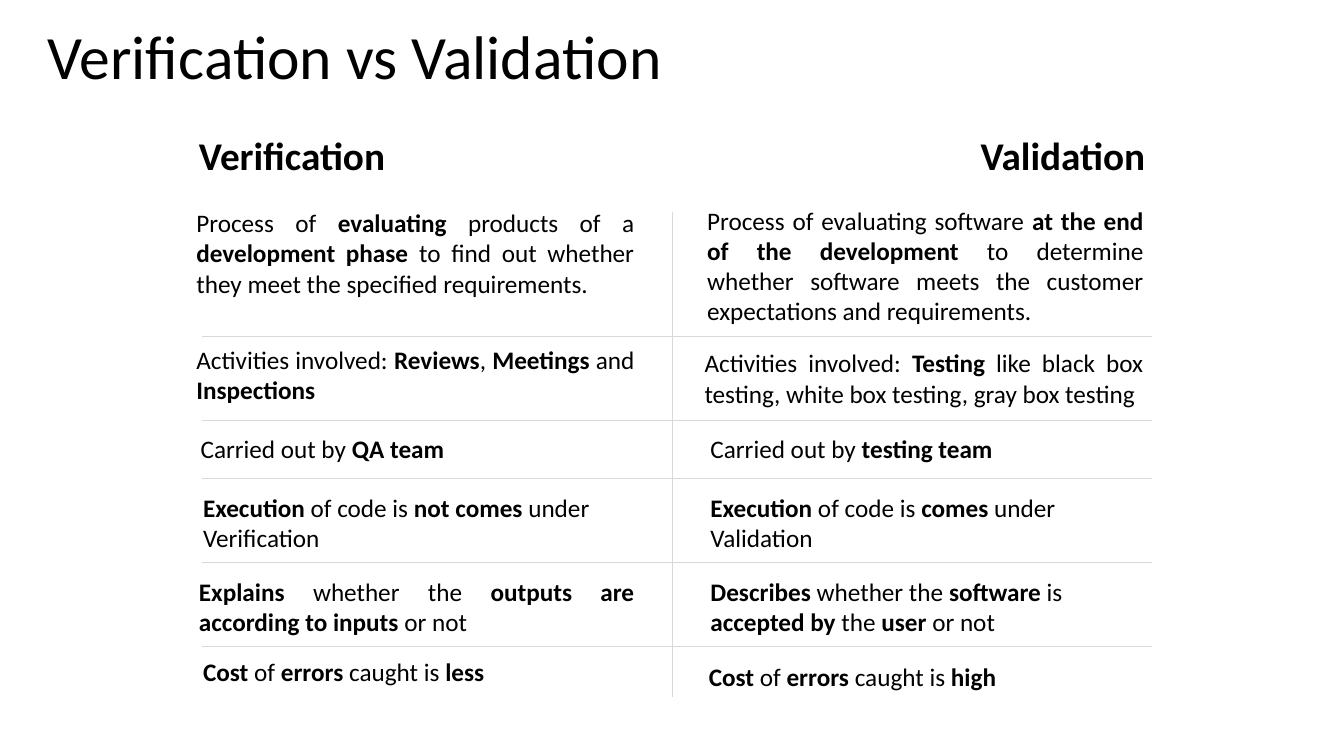
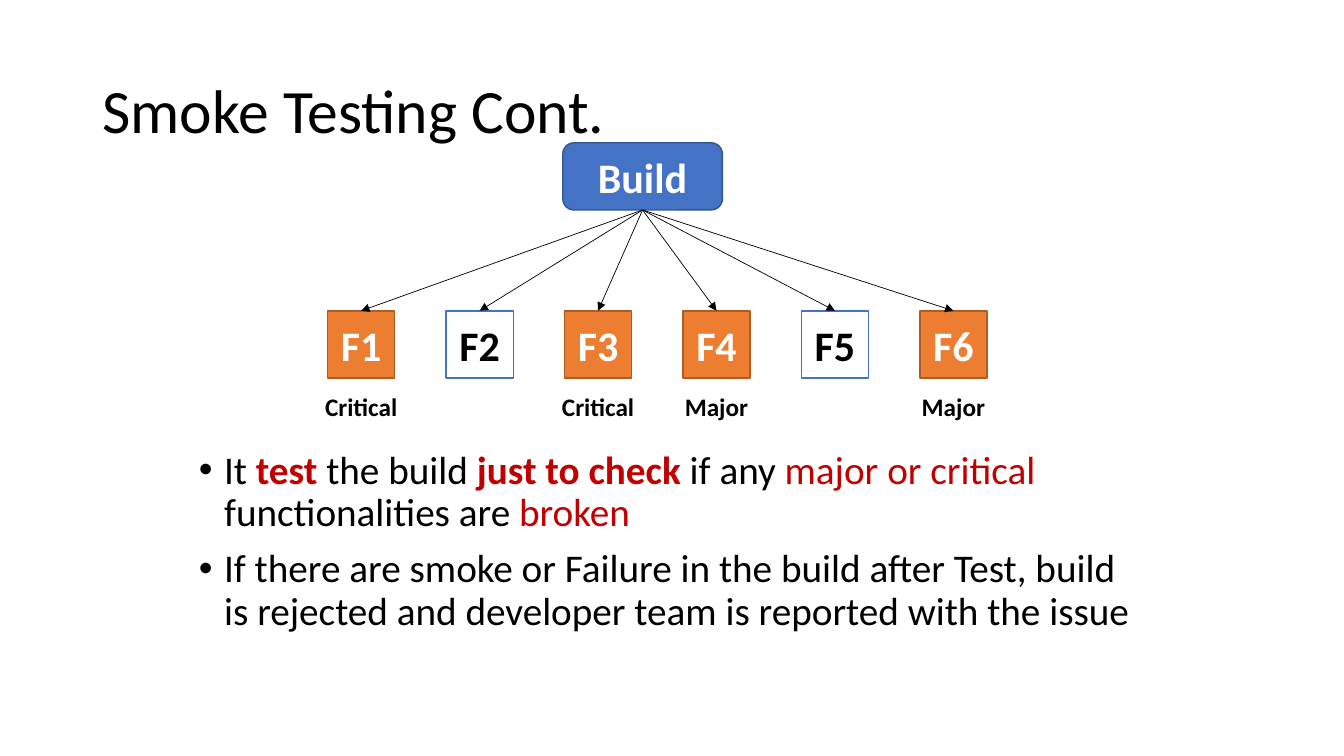
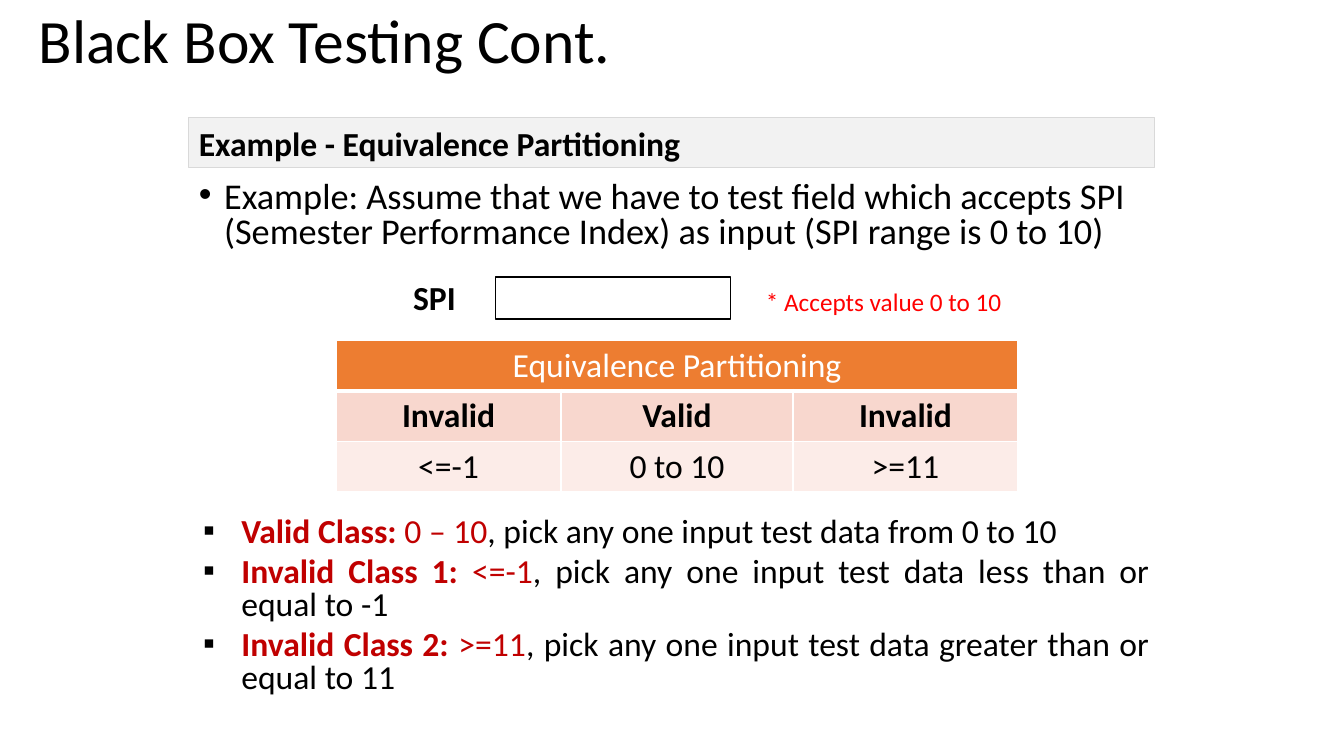
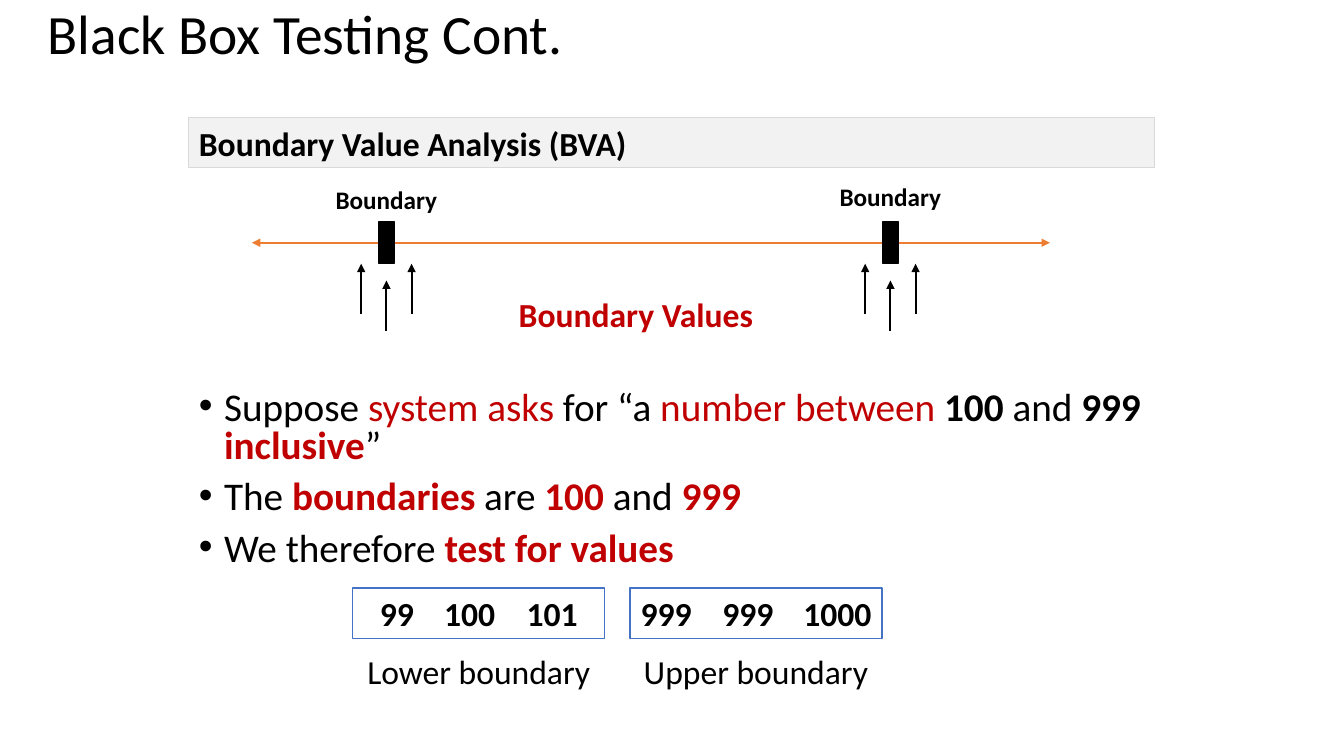
from dataclasses import dataclass

from lxml import etree
from pptx import Presentation
from pptx.dml.color import RGBColor
from pptx.enum.shapes import MSO_CONNECTOR, MSO_SHAPE
from pptx.enum.text import MSO_ANCHOR, MSO_AUTO_SIZE, PP_ALIGN
from pptx.oxml.ns import qn
from pptx.util import Inches, Pt

LEFT, CENTER, RIGHT, JUSTIFY = PP_ALIGN.LEFT, PP_ALIGN.CENTER, PP_ALIGN.RIGHT, PP_ALIGN.JUSTIFY
TOP, MIDDLE = MSO_ANCHOR.TOP, MSO_ANCHOR.MIDDLE
RECTANGLE, ROUNDED = MSO_SHAPE.RECTANGLE, MSO_SHAPE.ROUNDED_RECTANGLE
STRAIGHT = MSO_CONNECTOR.STRAIGHT
NO_AUTOFIT = MSO_AUTO_SIZE.NONE
TITLE_ONLY = 5
TOP_SIDE, BOTTOM_SIDE = 0, 2

SLIDE_WIDTH, SLIDE_HEIGHT = Inches(13.33), Inches(7.5)
COLUMNS, ROWS = 160, 90


@dataclass(frozen=True)
class Theme:
    font: str = "Calibri"
    black: str = "000000"
    white: str = "FFFFFF"
    blue: str = "4472C4"
    blue_edge: str = "325491"
    orange: str = "ED7D31"
    orange_edge: str = "AF5C24"
    orange_mid: str = "F8D7CE"
    orange_pale: str = "FCECE8"
    red: str = "C00000"
    warning: str = "FF0000"
    rule: str = "D9D9D9"
    band: str = "F2F2F2"
    title: float = 44
    title_small: float = 39.6
    tile: float = 30
    large: float = 28
    example: float = 25.9
    medium: float = 24
    small: float = 18


THEME = Theme()


@dataclass(frozen=True)
class Box:
    left: float
    top: float
    width: float
    height: float

    def inner(self, left, top, width, height):
        return Box(self.left + left, self.top + top, width, height)

    def point(self, left, top):
        return across(self.left + left), down(self.top + top)

    def frame(self):
        return across(self.left), down(self.top), across(self.width), down(self.height)


def across(columns):
    return round(SLIDE_WIDTH * columns / COLUMNS)


def down(rows):
    return round(SLIDE_HEIGHT * rows / ROWS)


CONTENT = Box(22.5, 14, 115, 70)


def rgb(value):
    return RGBColor.from_string(value)


def write(paragraph, text, size, color=THEME.black, bold=False, align=LEFT):
    paragraph.alignment = align
    font = paragraph.font
    font.name, font.size, font.bold = THEME.font, Pt(size), bold
    font.color.rgb = rgb(color)
    strong = False
    for index, section in enumerate(text.split("~")):
        for turn, piece in enumerate(section.split("^")):
            strong = strong != (turn > 0)
            if piece:
                run = paragraph.add_run()
                run.text = piece
                if strong:
                    run.font.bold = True
                if index % 2:
                    run.font.color.rgb = rgb(THEME.red)


def add_text(slide, box, text, size, anchor=TOP, **style):
    frame = slide.shapes.add_textbox(*box.frame()).text_frame
    frame.word_wrap = True
    frame.vertical_anchor = anchor
    write(frame.paragraphs[0], text, size, **style)


def add_title(slide, box, text, size=THEME.title):
    title = slide.shapes.title
    title.left, title.top, title.width, title.height = box.frame()
    frame = title.text_frame
    frame.auto_size = NO_AUTOFIT
    frame.vertical_anchor = MIDDLE
    paragraph = frame.paragraphs[0]
    write(paragraph, text, size)
    paragraph.line_spacing = 0.9


def add_block(slide, box, fill, line, text="", size=THEME.medium, kind=RECTANGLE, width=1, align=CENTER, **style):
    shape = slide.shapes.add_shape(kind, *box.frame())
    shape.shadow.inherit = False
    shape.fill.solid()
    shape.fill.fore_color.rgb = rgb(fill)
    shape.line.color.rgb = rgb(line)
    shape.line.width = Pt(width)
    if text:
        shape.text_frame.vertical_anchor = MIDDLE
        write(shape.text_frame.paragraphs[0], text, size, align=align, **style)
    return shape


def add_line(slide, start, end, color, width, ends=()):
    connector = slide.shapes.add_connector(STRAIGHT, *start, *end)
    connector.line.color.rgb = rgb(color)
    connector.line.width = Pt(width)
    line = connector.line._get_or_add_ln()
    for end_name in ends:
        etree.SubElement(line, qn(end_name), type="triangle")
    etree.SubElement(connector._element.spPr, qn("a:effectLst"))
    return connector


def add_band(slide, text):
    add_block(slide, CONTENT.inner(0, 0, CONTENT.width, 6), THEME.band, THEME.rule,
              text, width=0.75, align=LEFT, bold=True)


def add_bullets(slide, box, items, size, spacing=0.9, before=10, bullet="•", indent=0.25, align=LEFT):
    frame = slide.shapes.add_textbox(*box.frame()).text_frame
    frame.word_wrap = True
    for index, item in enumerate(items):
        paragraph = frame.add_paragraph() if index else frame.paragraphs[0]
        paragraph.line_spacing = spacing
        paragraph.space_before = Pt(before)
        write(paragraph, item, size, align=align)
        properties = paragraph._p.get_or_add_pPr()
        properties.set("marL", str(Inches(indent)))
        properties.set("indent", str(-Inches(indent)))
        defaults = properties.find(qn("a:defRPr"))
        color = etree.Element(qn("a:buClr"))
        etree.SubElement(color, qn("a:srgbClr"), val=THEME.black)
        font = etree.Element(qn("a:buFont"), typeface="Arial")
        mark = etree.Element(qn("a:buChar"), char=bullet)
        for element in (color, font, mark):
            defaults.addprevious(element)


def add_comparison(slide, box):
    heading = box.inner(0, 0, box.width, 6.8)
    for text, align in (("Verification", LEFT), ("Validation", RIGHT)):
        add_text(slide, heading, text, THEME.large, bold=True, align=align)
    add_line(slide, box.point(57.5, 10.2), box.point(57.5, 68), THEME.rule, 0.5)
    for row in (25, 35, 42, 52, 62):
        add_line(slide, box.point(1.5, row), box.point(114.7, row), THEME.rule, 0.5)
    verification = (
        (-0.3, 9.1, JUSTIFY, "Process of ^evaluating^ products of a ^development phase ^to find out "
                             "whether they meet the specified requirements."),
        (-0.3, 25.4, JUSTIFY, "Activities involved: ^Reviews^, ^Meetings^ and ^Inspections^"),
        (0.2, 36, LEFT, "Carried out by ^QA team^"),
        (0.5, 43, LEFT, "^Execution^ of code is^ not comes^ under Verification"),
        (0, 53, JUSTIFY, "^Explains^ whether the ^outputs are according to inputs ^or not"),
        (0.5, 62.5, LEFT, "^Cost^ of ^errors^ caught is ^less^"),
    )
    validation = (
        (60.5, 8.8, JUSTIFY, "Process of evaluating software ^at the end of the development^ to determine "
                             "whether software meets the customer expectations and requirements."),
        (60.2, 25.8, JUSTIFY, "Activities involved: ^Testing^ like black box testing, white box testing, "
                              "gray box testing"),
        (60.9, 36, LEFT, "Carried out by ^testing team^"),
        (60.9, 43, LEFT, "^Execution^ of code is ^comes^ under Validation"),
        (60.9, 53, LEFT, "^Describes^ whether the ^software^ is ^accepted by^ the ^user^ or not"),
        (60.7, 63.1, LEFT, "^Cost^ of ^errors^ caught is ^high^"),
    )
    for edge, cells in ((54.2, verification), (114.8, validation)):
        for left, top, align, text in cells:
            add_text(slide, box.inner(left, top, edge - left, 8.5), text, THEME.small, align=align)


def add_build_tree(slide, box):
    build = add_block(slide, box.inner(28, 0, 19, 8), THEME.blue, THEME.blue_edge, "Build",
                      THEME.tile, ROUNDED, color=THEME.white, bold=True)
    tile, pitch = 8, 14.1
    for index, label in enumerate(("Critical", "", "Critical", "Major", "", "Major")):
        left = index * pitch
        if label:
            fill, line, color = THEME.orange, THEME.orange_edge, THEME.white
        else:
            fill, line, color = THEME.white, THEME.blue, THEME.black
        feature = add_block(slide, box.inner(left, 20, tile, tile), fill, line, f"F{index + 1}",
                            THEME.tile, color=color, bold=True)
        feature.text_frame.margin_left = feature.text_frame.margin_right = 0
        arrow = add_line(slide, box.point(37.5, 8), box.point(left + tile / 2, 20),
                         THEME.black, 0.5, ["a:tailEnd"])
        arrow.begin_connect(build, BOTTOM_SIDE)
        arrow.end_connect(feature, TOP_SIDE)
        if label:
            add_text(slide, box.inner(left + (tile - pitch) / 2, 29, pitch, 4.8), label,
                     THEME.small, bold=True, align=CENTER)


def add_input_field(slide, box):
    add_text(slide, box.inner(0, 0, 11, 6), "SPI", THEME.medium, bold=True)
    add_block(slide, box.inner(11, 0.6, 28, 5), THEME.white, THEME.black)
    add_text(slide, box.inner(42, 1.1, 33, 4.8), "* Accepts value 0 to 10", THEME.small, color=THEME.warning)


def border_cell(cell, bottom):
    properties = cell._tc.get_or_add_tcPr()
    for index, (side, width) in enumerate((("a:lnL", 1), ("a:lnR", 1), ("a:lnT", 1), ("a:lnB", bottom))):
        line = etree.Element(qn(side), w=str(Pt(width)))
        fill = etree.SubElement(line, qn("a:solidFill"))
        etree.SubElement(fill, qn("a:srgbClr"), val=THEME.white)
        properties.insert(index, line)


def add_partition_table(slide, box):
    rows = (
        (("Equivalence Partitioning", "", ""), THEME.orange, THEME.white, False),
        (("Invalid", "Valid", "Invalid"), THEME.orange_mid, THEME.black, True),
        (("<=-1", "0 to 10", ">=11"), THEME.orange_pale, THEME.black, False),
    )
    table = slide.shapes.add_table(3, 3, *box.frame()).table
    for column, share in zip(table.columns, (0.33, 0.34, 0.33)):
        column.width = across(box.width * share)
    table.cell(0, 0).merge(table.cell(0, 2))
    for row, (texts, fill, color, bold) in enumerate(rows):
        for column, text in enumerate(texts):
            cell = table.cell(row, column)
            cell.fill.solid()
            cell.fill.fore_color.rgb = rgb(fill)
            border_cell(cell, 1 if row else 3)
            write(cell.text_frame.paragraphs[0], text, THEME.medium, color, bold, CENTER)


def add_boundary_axis(slide, box):
    add_line(slide, box.point(0, 7.9), box.point(box.width, 7.9), THEME.orange, 1.5,
             ["a:headEnd", "a:tailEnd"])
    for center, label_top in ((16, 0.4), (76, 0)):
        add_block(slide, box.inner(center - 0.9, 5.4, 1.8, 5), THEME.black, THEME.black)
        add_text(slide, box.inner(center - 7.5, label_top, 15, 4.8), "Boundary", THEME.small,
                 bold=True, align=CENTER)
        for shift, tip in ((-3, 10.4), (0, 12.4), (3, 10.4)):
            add_line(slide, box.point(center + shift, tip + 6), box.point(center + shift, tip),
                     THEME.black, 1.5, ["a:tailEnd"])
    add_text(slide, box.inner(21.2, 13.4, 49, 6), "Boundary Values", THEME.medium,
             color=THEME.red, bold=True, align=CENTER)


def add_value_set(slide, box, values, stops, label):
    shape = add_block(slide, box.inner(0, 0, box.width, 6), THEME.white, THEME.blue,
                      "".join("\t" + value for value in values), align=LEFT, bold=True)
    properties = shape.text_frame.paragraphs[0]._p.get_or_add_pPr()
    tabs = etree.Element(qn("a:tabLst"))
    for stop in stops:
        etree.SubElement(tabs, qn("a:tab"), pos=str(Inches(stop)), algn="ctr")
    properties.find(qn("a:defRPr")).addprevious(tabs)
    add_text(slide, box.inner(0, 6.9, box.width, 6), label, THEME.medium, align=CENTER)


def build_comparison(slide):
    add_title(slide, Box(4.5, 1.3, 91, 11.5), "Verification vs Validation")
    add_comparison(slide, CONTENT.inner(0, 1, CONTENT.width, 68))


def build_smoke_testing(slide):
    add_title(slide, Box(11, 4.8, 138, 17.4), "Smoke Testing Cont.")
    add_build_tree(slide, Box(39, 17, 78.5, 34))
    add_bullets(slide, CONTENT.inner(0, 39, CONTENT.width, 28), (
        "It ~^test ^~the build ~^just to check^~ if any ~major or critical~ functionalities are ~broken~",
        "If there are smoke or Failure in the build after Test, build is rejected and developer team "
        "is reported with the issue",
    ), THEME.large)


def build_equivalence(slide):
    add_title(slide, Box(3.4, 0, 112, 10.3), "Black Box Testing Cont.")
    add_band(slide, "Example - Equivalence Partitioning")
    add_bullets(slide, CONTENT.inner(0, 7, CONTENT.width, 10), (
        "Example: Assume that we have to test field which accepts SPI (Semester Performance Index) "
        "as input (SPI range is 0 to 10)",
    ), THEME.example, spacing=0.8)
    add_input_field(slide, Box(48, 32.4, 75, 6))
    add_partition_table(slide, Box(40, 40.5, 81.2, 18))
    add_bullets(slide, CONTENT.inner(0.5, 47, CONTENT.width, 24), (
        "~^Valid Class:^ 0 – 10~, pick any one input test data from 0 to 10",
        "~^Invalid Class 1:^ <=-1~, pick any one input test data less than or equal to -1",
        "~^Invalid Class 2:^ >=11~, pick any one input test data greater than or equal to 11",
    ), THEME.medium, spacing=0.8, before=6, bullet="▪", indent=0.38, align=JUSTIFY)


def build_boundary(slide):
    add_title(slide, Box(4.5, 0, 84, 8.8), "Black Box Testing Cont.", THEME.title_small)
    add_band(slide, "Boundary Value Analysis (BVA)")
    add_boundary_axis(slide, Box(30, 21, 95, 20))
    add_bullets(slide, CONTENT.inner(0, 32, CONTENT.width, 24), (
        "Suppose ~system asks ~for “a ~number between ~^100 ^and ^999 ~inclusive^~”",
        "The ~^boundaries ^~are ~^100 ^~and ~^999^~",
        "We therefore ~^test for values^~",
    ), THEME.large, spacing=0.8)
    add_value_set(slide, Box(42, 70, 30, 13), ("99", "100", "101"), (0.34, 1.06, 1.88), "Lower boundary")
    add_value_set(slide, Box(75, 70, 30, 13), ("999", "999", "1000"), (0.26, 1.07, 1.96), "Upper boundary")


def main():
    presentation = Presentation()
    presentation.slide_width, presentation.slide_height = SLIDE_WIDTH, SLIDE_HEIGHT
    layout = presentation.slide_layouts[TITLE_ONLY]
    for build in (build_comparison, build_smoke_testing, build_equivalence, build_boundary):
        build(presentation.slides.add_slide(layout))
    presentation.save("out.pptx")


if __name__ == "__main__":
    main()
